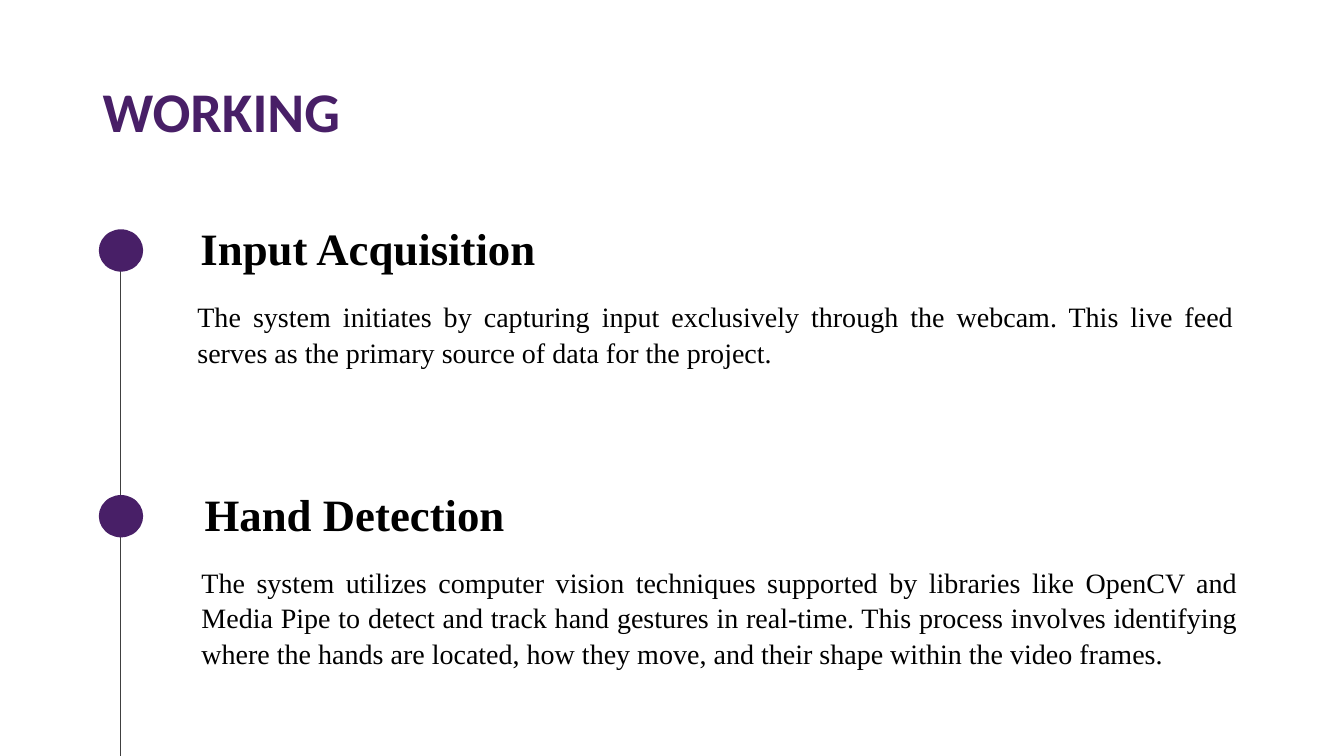
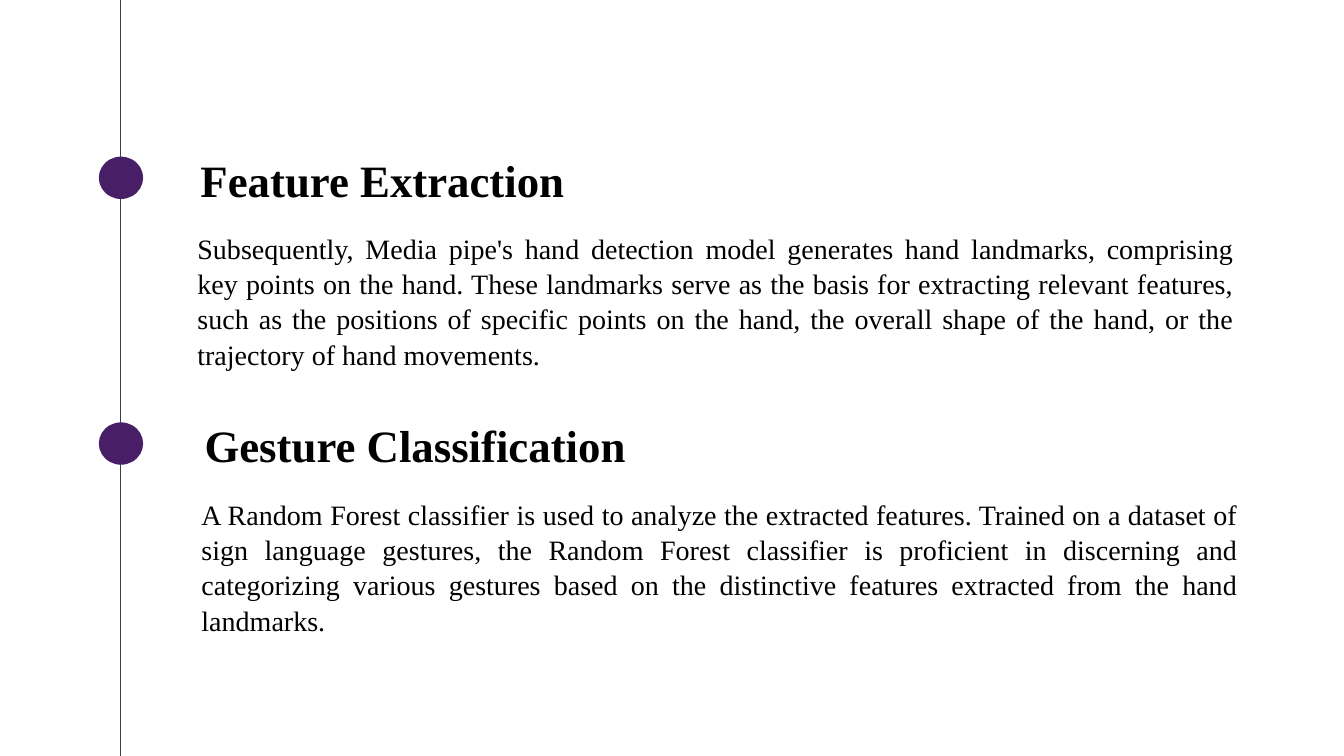
from lxml.etree import SubElement
from pptx import Presentation
from pptx.dml.color import RGBColor
from pptx.enum.shapes import MSO_CONNECTOR, MSO_SHAPE
from pptx.enum.text import MSO_ANCHOR, PP_ALIGN
from pptx.oxml.ns import qn
from pptx.util import Inches, Pt

COLORS = {"purple": "481F67", "black": "000000", "rail": "404040"}
TITLE_FORMAT = dict(size=40, font="Calibri", color="purple", bold=True,
                    anchor=MSO_ANCHOR.MIDDLE, spacing=0.9)
HEADING_FORMAT = dict(size=32, bold=True, anchor=MSO_ANCHOR.MIDDLE)
BODY_FORMAT = dict(size=20, align=PP_ALIGN.JUSTIFY)

deck = Presentation()
deck.slide_width, deck.slide_height = Inches(13.33), Inches(7.5)

# The grid has 100 columns and 100 rows.
COL, ROW = deck.slide_width / 100, deck.slide_height / 100
RAIL_X = 8.93
DOT_X, DOT_W, DOT_H = 7.35, 3.3, 5.6
HEADING_X, HEADING_W, HEADING_H = 14.18, 35.5, 13.73
BODY_X, BODY_W, BODY_DROP = 13.95, 78.6, 13.07
SECTION_STEP, SECTION_SHIFT = 35.15, 0.3


def on_grid(*cells):
    """Turn alternating column and row counts into slide lengths."""
    return [round(cell * unit) for cell, unit in zip(cells, (COL, ROW) * 2)]


def add_text(slide, text, place, size, font="Times New Roman", color="black", bold=False,
             align=PP_ALIGN.LEFT, anchor=MSO_ANCHOR.TOP, spacing=1.05):
    frame = slide.shapes.add_textbox(*on_grid(*place)).text_frame
    frame.word_wrap = True
    frame.vertical_anchor = anchor
    paragraph = frame.paragraphs[0]
    paragraph.text = text
    paragraph.alignment = align
    paragraph.line_spacing = spacing
    paragraph.font.size = Pt(size)
    paragraph.font.name = font
    paragraph.font.bold = bold
    paragraph.font.color.rgb = RGBColor.from_string(COLORS[color])


# Each section: heading, body, rows the body takes.
pages = [
    dict(title="WORKING", top=25.73, dot_drop=4.6, rail_top=35.73, sections=[
        ("Input Acquisition",
         "The system initiates by capturing input exclusively through the webcam. "
         "This live feed serves as the primary source of data for the project.", 14.4),
        ("Hand Detection",
         "The system utilizes computer vision techniques supported by libraries like OpenCV "
         "and Media Pipe to detect and track hand gestures in real-time. This process involves "
         "identifying where the hands are located, how they move, and their shape within the "
         "video frames.", 17.87),
    ]),
    dict(title=None, top=16.67, dot_drop=4.05, rail_top=0, sections=[
        ("Feature Extraction",
         "Subsequently, Media pipe's hand detection model generates hand landmarks, comprising "
         "key points on the hand. These landmarks serve as the basis for extracting relevant "
         "features, such as the positions of specific points on the hand, the overall shape of "
         "the hand, or the trajectory of hand movements.", 19.33),
        ("Gesture Classification",
         "A Random Forest classifier is used to analyze the extracted features. Trained on a "
         "dataset of sign language gestures, the Random Forest classifier is proficient in "
         "discerning and categorizing various gestures based on the distinctive features "
         "extracted from the hand landmarks.", 22.53),
    ]),
]

for page in pages:
    slide = deck.slides.add_slide(deck.slide_layouts[6])
    if page["title"]:
        add_text(slide, page["title"], (6.9, 5.47, 86.25, 19.33), **TITLE_FORMAT)

    rail = slide.shapes.add_connector(
        MSO_CONNECTOR.STRAIGHT, *on_grid(RAIL_X, page["rail_top"], RAIL_X, 100))
    rail.line.color.rgb = RGBColor.from_string(COLORS["rail"])
    rail.line.width = Pt(0.5)
    SubElement(rail._element.spPr, qn("a:effectLst"))

    for index, (heading, body, body_h) in enumerate(page["sections"]):
        top = page["top"] + index * SECTION_STEP
        shift = index * SECTION_SHIFT
        dot = slide.shapes.add_shape(
            MSO_SHAPE.OVAL, *on_grid(DOT_X, top + page["dot_drop"], DOT_W, DOT_H))
        dot.shadow.inherit = False
        dot.fill.solid()
        dot.fill.fore_color.rgb = RGBColor.from_string(COLORS["purple"])
        dot.line.fill.background()
        add_text(slide, heading, (HEADING_X + shift, top, HEADING_W, HEADING_H),
                 **HEADING_FORMAT)
        add_text(slide, body, (BODY_X + shift, top + BODY_DROP, BODY_W, body_h),
                 **BODY_FORMAT)

deck.save("out.pptx")
